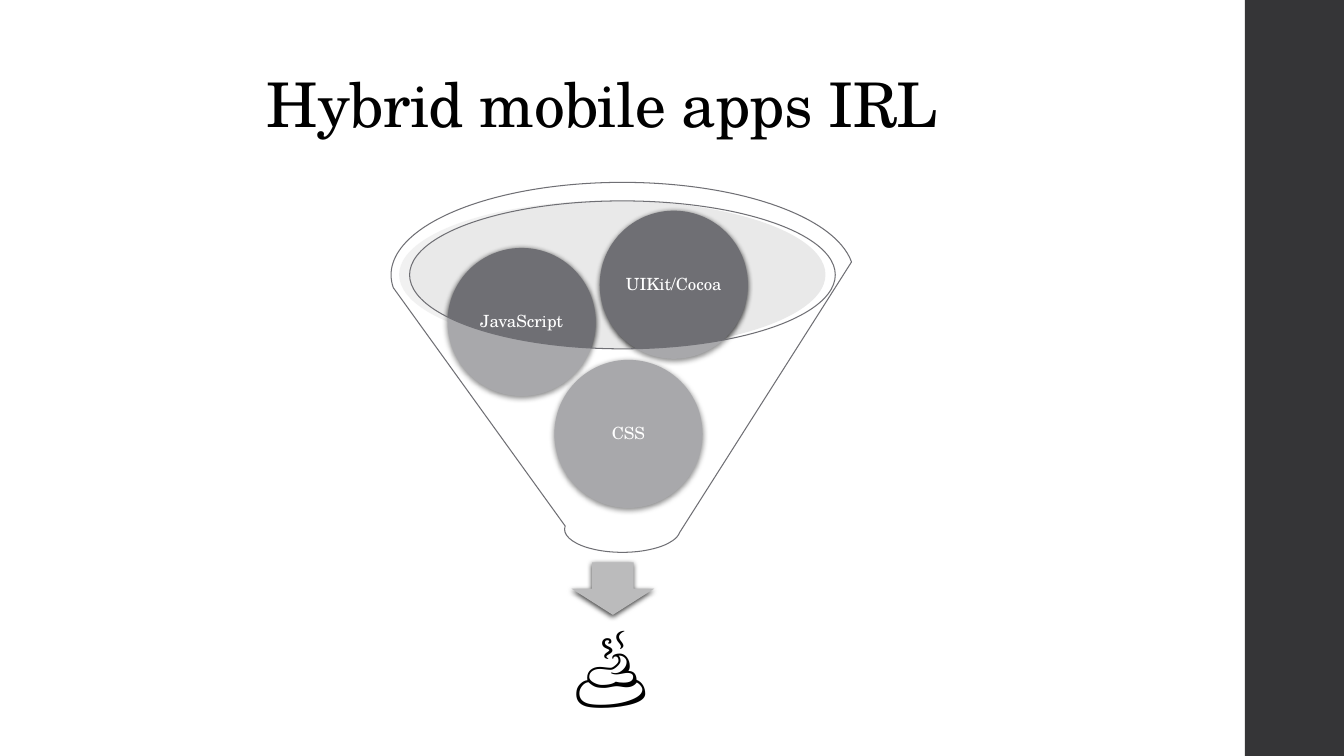
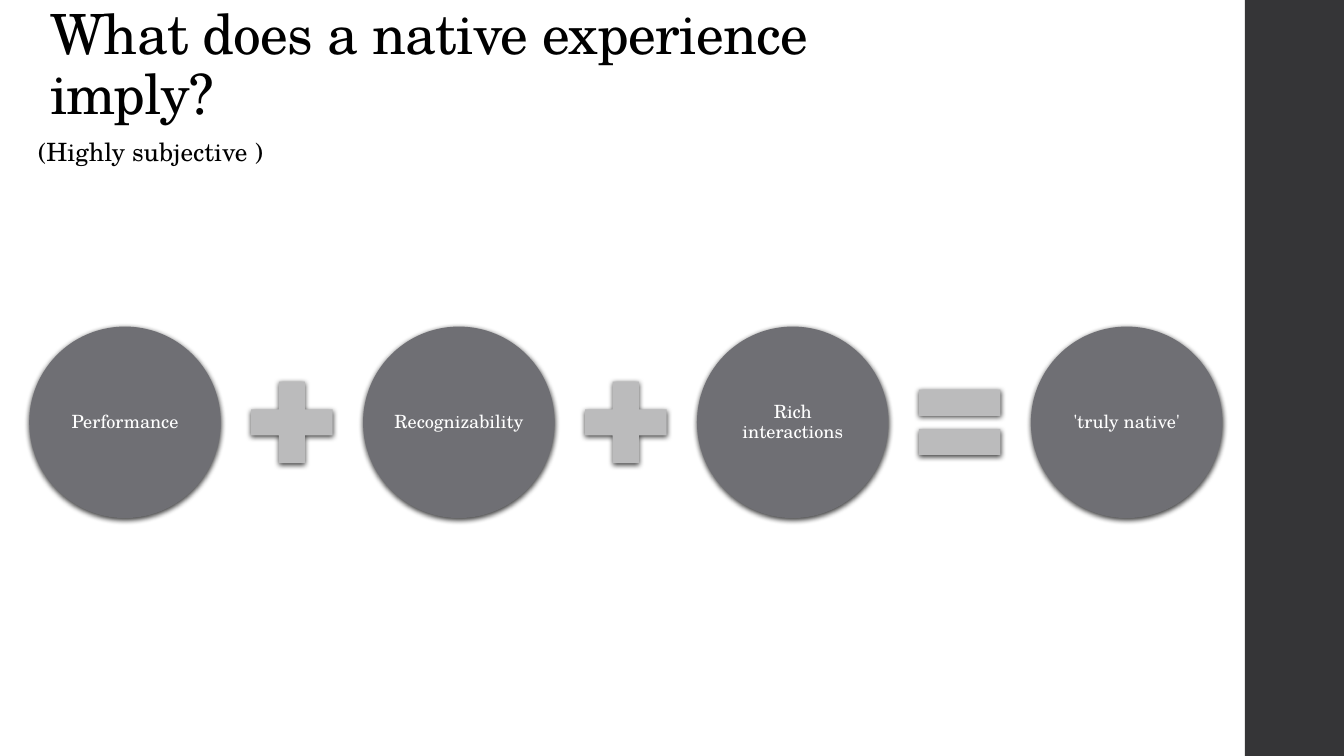
from lxml.etree import SubElement
from pptx import Presentation
from pptx.dml.color import RGBColor
from pptx.enum.shapes import MSO_SHAPE as Shape
from pptx.enum.text import MSO_ANCHOR as Anchor, PP_ALIGN as Align
from pptx.oxml.ns import qn
from pptx.util import Inches, Pt

BLACK = RGBColor(0x00, 0x00, 0x00)
WHITE = RGBColor(0xFF, 0xFF, 0xFF)
CHARCOAL = RGBColor(0x35, 0x35, 0x37)
GREY = RGBColor(0x6F, 0x6F, 0x74)
SILVER = RGBColor(0xBB, 0xBB, 0xBC)
MIST = RGBColor(0xC8, 0xC8, 0xC9)

FONT = "TeX Gyre Schola"
CELL = Inches(0.25)
COLUMNS, ROWS = 160 / 3, 30
BAND_COLUMN = 49.4


class Deck:
    """Draws styled elements on a grid of quarter-inch columns and rows."""

    def __init__(self):
        self.show = Presentation()
        self.show.slide_width = round(COLUMNS * CELL)
        self.show.slide_height = ROWS * CELL
        self.slide = None

    def start_slide(self):
        self.slide = self.show.slides.add_slide(self.show.slide_layouts[6])
        self.shape(Shape.RECTANGLE, BAND_COLUMN, 0, COLUMNS - BAND_COLUMN, ROWS, CHARCOAL)

    def place(self, *cells):
        return [round(cell * CELL) for cell in cells]

    def shape(self, kind, left, top, width, height, color, opacity=100, raised=False, outline=None):
        drawn = self.slide.shapes.add_shape(kind, *self.place(left, top, width, height))
        drawn.shadow.inherit = False
        drawn.fill.solid()
        drawn.fill.fore_color.rgb = color
        properties = drawn._element.spPr
        if opacity < 100:
            fill_color = properties.find(qn("a:solidFill"))[0]
            SubElement(fill_color, qn("a:alpha"), val=str(opacity * 1000))
        if outline is None:
            drawn.line.fill.background()
        else:
            drawn.line.color.rgb = outline
            drawn.line.width = Pt(0.75)
        if raised:
            effects = properties.find(qn("a:effectLst"))
            shadow = SubElement(effects, qn("a:outerShdw"), blurRad=str(Pt(4)),
                                dist=str(Pt(1.2)), dir="5400000", rotWithShape="0")
            shadow_color = SubElement(shadow, qn("a:srgbClr"), val=str(BLACK))
            SubElement(shadow_color, qn("a:alpha"), val="75000")
        return drawn

    def add_words(self, frame, words, size, color=BLACK, align=Align.LEFT, spacing=0.9):
        paragraph = frame.paragraphs[0]
        paragraph.alignment = align
        paragraph.line_spacing = spacing
        run = paragraph.add_run()
        run.text = words
        run.font.name = FONT
        run.font.size = Pt(size)
        run.font.color.rgb = color
        return run

    def inset(self, frame, margin):
        frame.margin_left = frame.margin_right = margin
        frame.margin_top = frame.margin_bottom = margin

    def text_box(self, left, top, width, height, anchor=Anchor.TOP, wrap=True):
        box = self.slide.shapes.add_textbox(*self.place(left, top, width, height))
        box.text_frame.word_wrap = wrap
        box.text_frame.vertical_anchor = anchor
        return box.text_frame

    def title(self, words, left, top, width, height, size):
        frame = self.text_box(left, top, width, height, Anchor.BOTTOM)
        run = self.add_words(frame, words, size)
        run._r.get_or_add_rPr().set("spc", "-50")

    def ball(self, words, left, top, diameter, size):
        frame = self.shape(Shape.OVAL, left, top, diameter, diameter, GREY, raised=True).text_frame
        frame.word_wrap = True
        frame.vertical_anchor = Anchor.MIDDLE
        self.inset(frame, Inches(0.02))
        self.add_words(frame, words, size, WHITE, Align.CENTER)

    def caption(self, words, left, top, width, height, size):
        frame = self.text_box(left, top, width, height, wrap=False)
        self.add_words(frame, words, size, spacing=1)

    def result(self, symbol, left, top, width, height, size):
        frame = self.text_box(left, top, width, height, Anchor.MIDDLE)
        self.inset(frame, Inches(0.47))
        self.add_words(frame, symbol, size, align=Align.CENTER)


def hybrid_apps(deck):
    deck.start_slide()
    deck.title("Hybrid mobile apps IRL", 10.2, 0, 37.72, 5.8, 44)
    deck.shape(Shape.OVAL, 15.84, 7.96, 16.92, 5.88, MIST, opacity=40)
    deck.shape(Shape.DOWN_ARROW, 22.68, 22.32, 3.28, 2.08, SILVER, raised=True)
    deck.result("💩", 16.4, 25.12, 15.72, 2.6, 60)
    ingredients = [("CSS", 22, 14.28), ("JavaScript", 17.76, 9.84), ("UIKit/Cocoa", 23.8, 8.36)]
    for ingredient, left, top in ingredients:
        deck.ball(ingredient, left, top, 5.88, 12)
    deck.shape(Shape.FUNNEL, 15.52, 7.24, 18.36, 14.68, WHITE, opacity=40, outline=GREY)


def native_experience(deck):
    deck.start_slide()
    deck.title("What does a native experience imply?", 1.6, 1.04, 34.56, 4.16, 39.6)
    deck.caption("(Highly subjective )", 1.12, 5.2, 9.88, 1.6, 18)
    first, step, middle = 1.16, 13.25, 16.76
    diameter, sign_size = 7.6, 4.4
    sign_offset = (step + diameter - sign_size) / 2
    equation = [
        ("Performance", Shape.MATH_PLUS),
        ("Recognizability", Shape.MATH_PLUS),
        ("Rich interactions", Shape.MATH_EQUAL),
        ("'truly native'", None),
    ]
    for index, (quality, sign) in enumerate(equation):
        left = first + index * step
        deck.ball(quality, left, middle - diameter / 2, diameter, 13)
        if sign is not None:
            deck.shape(sign, left + sign_offset, middle - sign_size / 2,
                       sign_size, sign_size, SILVER, raised=True)


def main():
    deck = Deck()
    hybrid_apps(deck)
    native_experience(deck)
    deck.show.save("out.pptx")


if __name__ == "__main__":
    main()
